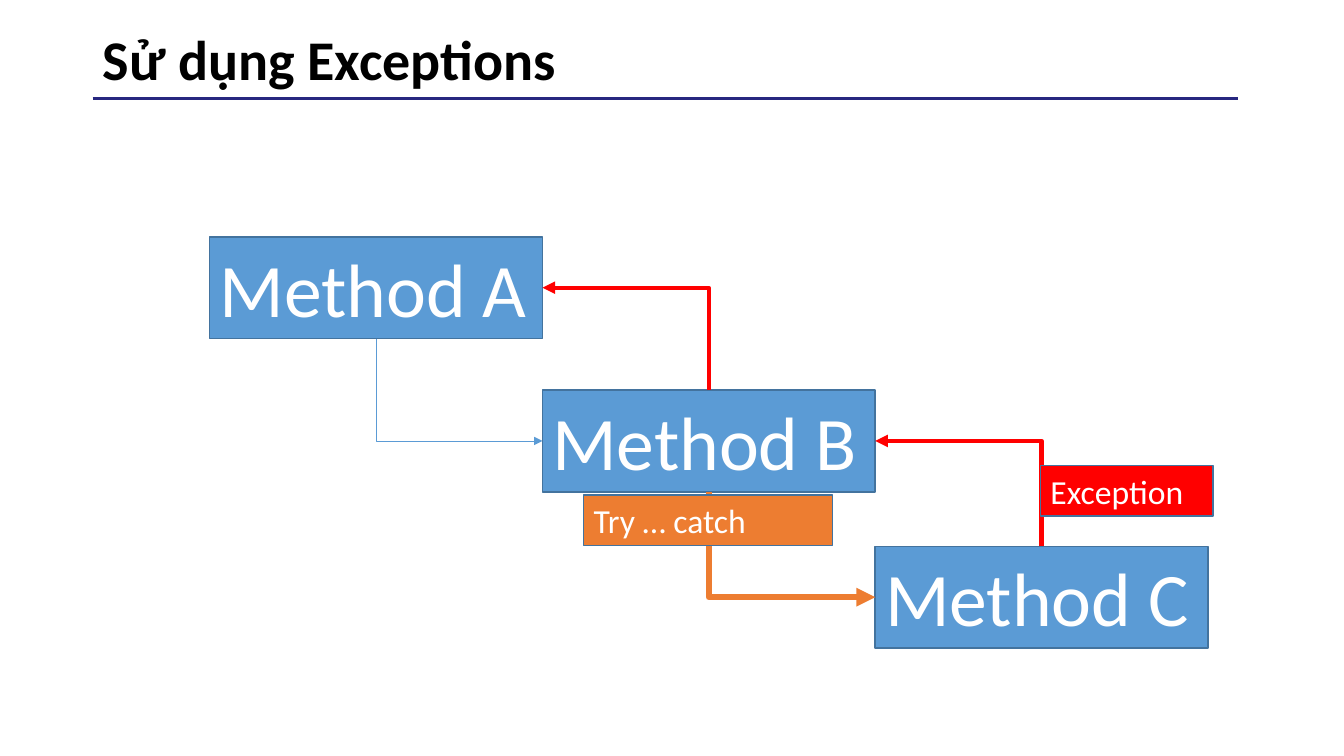
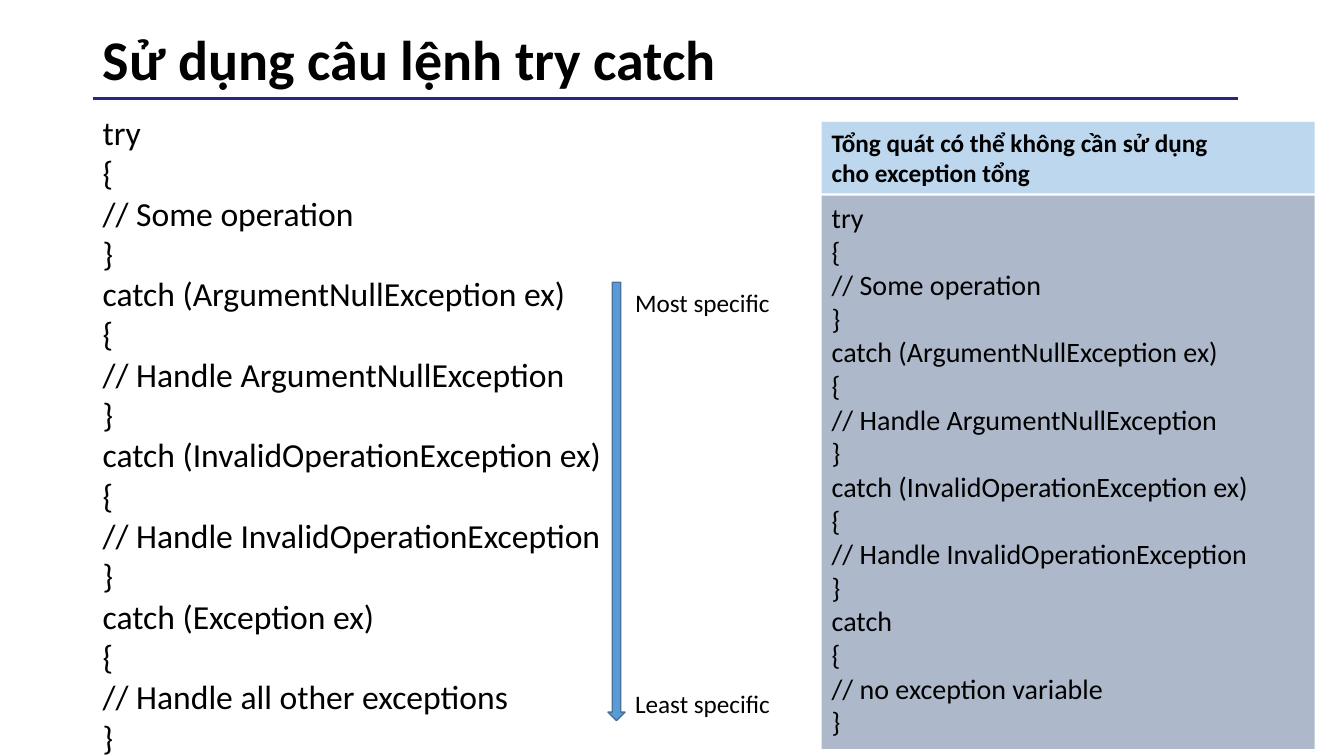
from typing import NamedTuple

from pptx import Presentation
from pptx.dml.color import RGBColor
from pptx.enum.shapes import MSO_CONNECTOR, MSO_SHAPE
from pptx.enum.text import MSO_ANCHOR, PP_ALIGN
from pptx.oxml.ns import qn
from pptx.oxml.xmlchemy import OxmlElement
from pptx.util import Inches, Pt

RECT, DOWN = MSO_SHAPE.RECTANGLE, MSO_SHAPE.DOWN_ARROW
STRAIGHT, ELBOW = MSO_CONNECTOR.STRAIGHT, MSO_CONNECTOR.ELBOW
TOP, MIDDLE, LEFT = MSO_ANCHOR.TOP, MSO_ANCHOR.MIDDLE, PP_ALIGN.LEFT
SITE_TOP, SITE_LEFT, SITE_BOTTOM, SITE_RIGHT = range(4)
TITLE_ONLY = 5
FONT = "Calibri"
COLORS = {
    "black": "000000", "white": "FFFFFF", "navy": "272780",
    "blue": "5B9BD5", "edge": "43739E", "orange": "ED7D31",
    "red": "FF0000", "slate": "ADB9CA", "sky": "BDD7EE",
}


class Area(NamedTuple):
    left: float
    top: float
    width: float
    height: float

    def lengths(self) -> list:
        return [Inches(n) for n in self]


class Style(NamedTuple):
    size: int
    color: str = "black"
    bold: bool = False


class Box(NamedTuple):
    area: Area
    fill: str
    edge: str | None = None
    lines: tuple[str, ...] = ()
    style: Style = Style(18)
    kind: int = RECT


class Link(NamedTuple):
    start: int
    out: int
    end: int
    into: int
    color: str
    width: float


TITLE = Area(0.92, 0.17, 11.5, 0.89)
BIG, TAG = Style(54, "white"), Style(24, "white")

METHODS = [
    Box(Area(2.08 + 3.3 * i, top, 3.3, 1.01), "blue", "edge",
        (f"Method {name}",), BIG)
    for i, (name, top) in enumerate(zip("ABC", (2.35, 3.87, 5.42)))
]
LINKS = [
    Link(0, SITE_BOTTOM, 1, SITE_LEFT, "blue", 0.5),
    Link(1, SITE_BOTTOM, 2, SITE_LEFT, "orange", 4.5),
    Link(2, SITE_TOP, 1, SITE_RIGHT, "red", 3),
    Link(1, SITE_TOP, 0, SITE_RIGHT, "red", 3),
]
TAGS = [
    Box(Area(10.32, 4.62, 1.71, 0.5), "red", "edge", ("Exception",), TAG),
    Box(Area(5.79, 4.91, 2.47, 0.5), "orange", "edge", ("Try … catch",), TAG),
]


def block(head: str, note: str) -> tuple[str, ...]:
    return head, "{", f"// {note}", "}"


SHARED = block("try", "Some operation") + tuple(
    line
    for kind in ("ArgumentNullException", "InvalidOperationException")
    for line in block(f"catch ({kind} ex)", f"Handle {kind}")
)
NAMED = SHARED + block("catch (Exception ex)", "Handle all other exceptions")
BARE = SHARED + block("catch", "no exception variable")

PANELS = [
    Box(Area(6.03, 2.8, 0.17, 4.35), "blue", "edge", kind=DOWN),
    Box(Area(8.15, 1.94, 4.89, 5.49), "slate", None, BARE, Style(20)),
    Box(Area(8.15, 1.21, 4.89, 0.71), "sky", None,
        ("Tổng quát có thể không cần sử dụng", "cho exception tổng"),
        Style(18, bold=True)),
]


def rgb(name: str) -> RGBColor:
    return RGBColor.from_string(COLORS[name])


def write(frame, lines: tuple[str, ...], style: Style, wrap: bool = True) -> None:
    frame.word_wrap = wrap
    frame.vertical_anchor = TOP
    frame.text = "\n".join(lines)
    for para in frame.paragraphs:
        para.alignment = LEFT
        font = para.font
        font.name, font.size, font.bold = FONT, Pt(style.size), style.bold
        font.color.rgb = rgb(style.color)


def add_box(slide, box: Box):
    shape = slide.shapes.add_shape(box.kind, *box.area.lengths())
    shape.shadow.inherit = False
    shape.fill.solid()
    shape.fill.fore_color.rgb = rgb(box.fill)
    if box.edge:
        shape.line.color.rgb = rgb(box.edge)
        shape.line.width = Pt(1)
    else:
        shape.line.fill.background()
    if box.lines:
        write(shape.text_frame, box.lines, box.style)
    return shape


def add_text(slide, area: Area, lines: tuple[str, ...], size: int,
             wrap: bool = True) -> None:
    frame = slide.shapes.add_textbox(*area.lengths()).text_frame
    write(frame, lines, Style(size), wrap)


def ink(line, color: str, width: float) -> None:
    """Colour a connector and drop its shadow."""
    line.line.color.rgb = rgb(color)
    line.line.width = Pt(width)
    line.element.spPr.append(OxmlElement("a:effectLst"))


def add_link(slide, shapes: list, link: Link) -> None:
    """Join two boxes with a one-bend arrow that leaves vertically."""
    arrow = slide.shapes.add_connector(ELBOW, 0, 0, 0, 0)
    arrow.begin_connect(shapes[link.start], link.out)
    arrow.end_connect(shapes[link.end], link.into)
    ink(arrow, link.color, link.width)
    tail = OxmlElement("a:tailEnd")
    tail.set("type", "triangle")
    arrow.line._get_or_add_ln().append(tail)

    # The preset bends after a horizontal run, so turn it a quarter.
    props = arrow.element.spPr
    props.find(qn("a:prstGeom")).set("prst", "bentConnector2")
    frame = props.find(qn("a:xfrm"))
    frame.set("rot", str(270 * 60000))
    frame.set("flipH", "0" if frame.get("flipH") in ("1", "true") else "1")
    wide, high = arrow.width, arrow.height
    arrow.left += (wide - high) // 2
    arrow.top += (high - wide) // 2
    arrow.width, arrow.height = high, wide


def set_master(deck, slide) -> None:
    """Place the title and the rule below it on the slide master."""
    master = deck.slide_master
    title = next(p for p in master.placeholders if p.placeholder_format.idx == 0)
    title.left, title.top, title.width, title.height = TITLE.lengths()
    rule = slide.shapes.add_connector(
        STRAIGHT, Inches(0.92), Inches(0.98), Inches(12.28), Inches(0.98))
    ink(rule, "navy", 2)
    master.shapes.element.append(rule.element)


def add_slide(deck, text: str):
    slide = deck.slides.add_slide(deck.slide_layouts[TITLE_ONLY])
    title = slide.shapes.title
    title.left, title.top, title.width, title.height = TITLE.lengths()
    frame = title.text_frame
    write(frame, (text,), Style(40, bold=True))
    frame.vertical_anchor = MIDDLE
    frame.paragraphs[0].line_spacing = 0.9
    return slide


def draw_flow(deck) -> None:
    slide = add_slide(deck, "Sử dụng Exceptions")
    set_master(deck, slide)
    shapes = [add_box(slide, box) for box in METHODS]
    for link in LINKS:
        add_link(slide, shapes, link)
    for tag in TAGS:
        add_box(slide, tag)


def draw_code(deck) -> None:
    slide = add_slide(deck, "Sử dụng câu lệnh try catch")
    add_text(slide, Area(0.92, 1.06, 6.67, 6.56), NAMED, 24)
    for panel in PANELS:
        add_box(slide, panel)
    for text, top in (("Most specific", 2.8), ("Least specific", 6.78)):
        add_text(slide, Area(6.2, top, 1.55, 0.4), (text,), 18, wrap=False)


def main() -> None:
    deck = Presentation()
    deck.slide_width, deck.slide_height = Inches(13.33), Inches(7.5)
    draw_flow(deck)
    draw_code(deck)
    deck.save("out.pptx")


if __name__ == "__main__":
    main()
